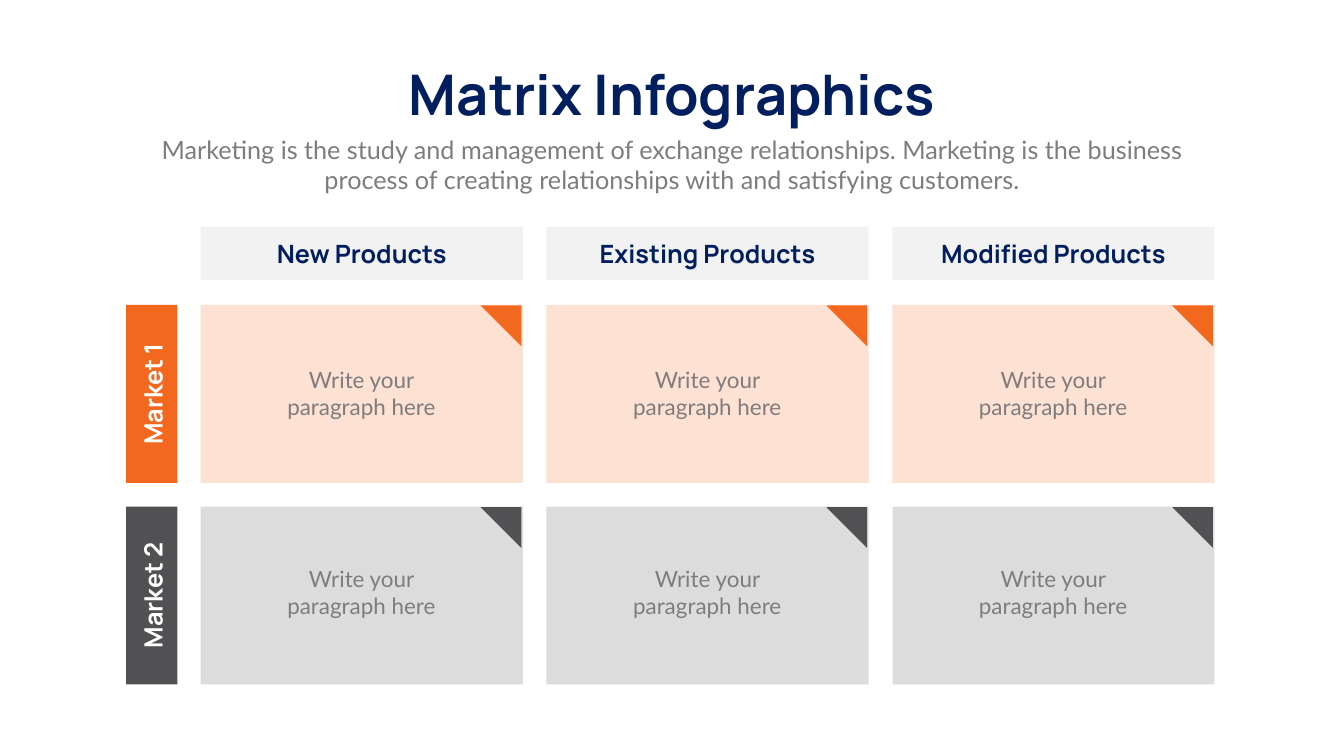
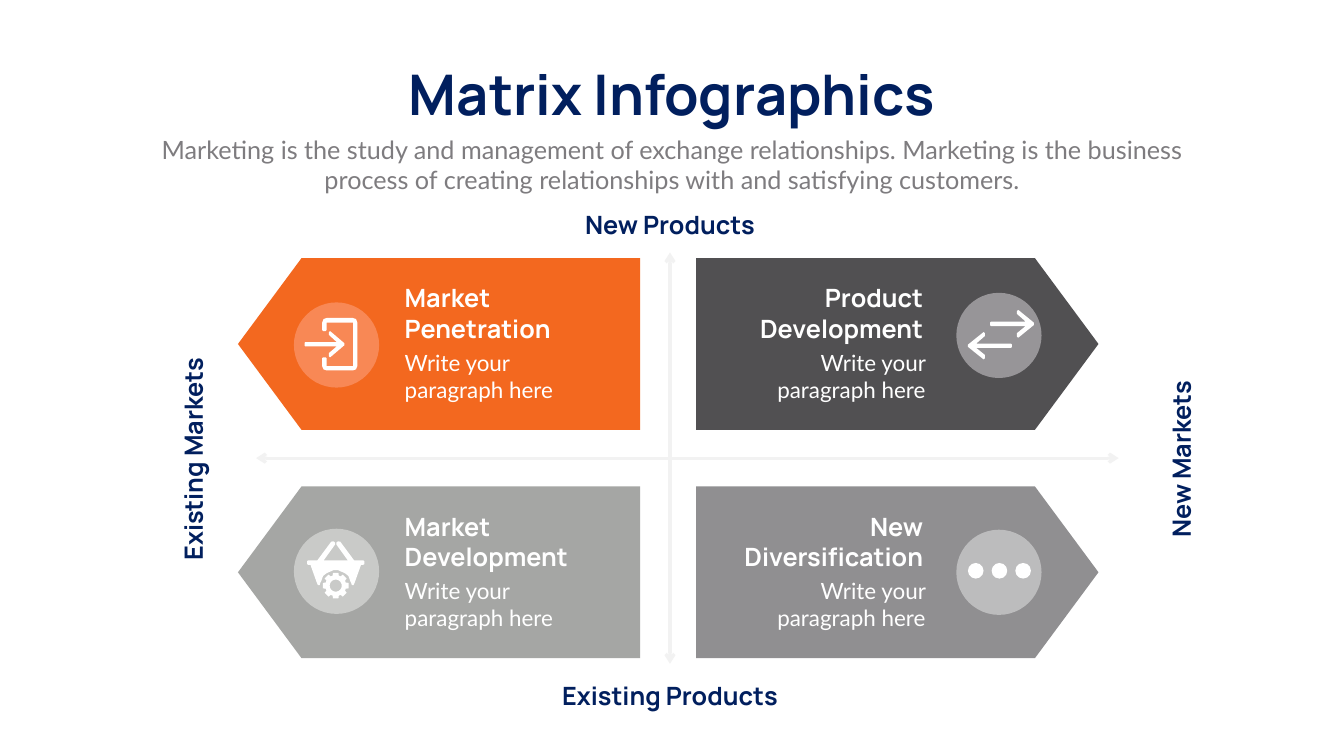
from collections import namedtuple
from math import cos, sin, radians
from lxml import etree
from pptx import Presentation
from pptx import util as u
from pptx.dml.color import RGBColor
from pptx.enum import shapes, text
from pptx.oxml import ns

Box = namedtuple("Box", "x y w h")
COLS, ROWS = 26.66, 15
NAVY, GREY, PALE, WHITE = "011F5E", "7E7C7F", "F2F2F2", "FFFFFF"
ORANGE, DARK = "F3681F", "515052"
HEAD, BODY = "Manrope", "Lato"
LEFT, MID, RIGHT = text.PP_ALIGN.LEFT, text.PP_ALIGN.CENTER, text.PP_ALIGN.RIGHT
KIND = shapes.MSO_SHAPE
NOTE = "Write your paragraph here"

ARROW = [(0.02, 0.42), (0.81, 0.42), (0.61, 0.14), (0.61, 0.04), (0.64, 0), (0.66, 0.02),
         (1, 0.46), (1, 0.54), (0.66, 0.98), (0.64, 1), (0.61, 0.96), (0.61, 0.84),
         (0.81, 0.58), (0.02, 0.58), (0, 0.55), (0, 0.45)]
DOOR = [(0, 0.09), (0.04, 0.02), (0.13, 0), (0.87, 0), (0.96, 0.02), (1, 0.09), (1, 0.91),
        (0.96, 0.98), (0.87, 1), (0.13, 1), (0.04, 0.98), (0, 0.92), (0, 0.77), (0.03, 0.75),
        (0.1, 0.75), (0.13, 0.77), (0.13, 0.92), (0.88, 0.92), (0.88, 0.09), (0.13, 0.09),
        (0.13, 0.23), (0.1, 0.25), (0.03, 0.25), (0, 0.23)]
HALF = [(0.5, 0.43), (0.71, 0.43), (0.51, 0.07), (0.51, 0.03), (0.54, 0), (0.58, 0.01),
        (0.82, 0.43), (0.98, 0.43), (1, 0.45), (1, 0.51), (0.98, 0.53), (0.94, 0.53),
        (0.83, 0.93), (0.81, 0.99), (0.78, 0.99), (0.77, 0.94), (0.75, 0.89), (0.74, 0.85),
        (0.72, 0.78), (0.66, 0.72), (0.61, 0.69), (0.59, 0.68), (0.54, 0.65)]
BASKET = HALF + [(1 - x, y) for x, y in reversed(HALF)]


def ring(size, turns):
    return [(0.5 + size * cos(radians(a)), 0.5 + size * sin(radians(a))) for a in turns]


TEETH = [p for k in range(0, 360, 45)
         for size, turn in ((0.4, -17), (0.5, -12), (0.5, 12), (0.4, 17))
         for p in ring(size, [k + turn])]
HOLE = ring(0.23, range(360, 0, -15))


def hue(code):
    return RGBColor.from_string(code)


def sub(box, x, y, w, h):
    return Box(box.x + x, box.y + y, w, h)


def emu(box):
    return [u.Inches(v) for v in box]


def paint(shape, fill):
    shape.shadow.inherit = False
    shape.fill.solid()
    shape.fill.fore_color.rgb = hue(fill)
    shape.line.fill.background()
    return shape


def block(slide, kind, box, fill, turn=0):
    shape = paint(slide.shapes.add_shape(kind, *emu(box)), fill)
    shape.rotation = turn
    return shape


def draw(slide, box, *rings):
    def spot(p):
        return u.Inches(box.x + p[0] * box.w), u.Inches(box.y + p[1] * box.h)

    pen = slide.shapes.build_freeform(*spot(rings[0][0]))
    for k, pts in enumerate(rings):
        if k:
            pen.move_to(*spot(pts[0]))
        pen.add_line_segments([spot(p) for p in pts[1:]], close=True)
    paint(pen.convert_to_shape(), WHITE)


def style(frame, words, size, face, ink, align, wrap=True):
    frame.text = words
    frame.word_wrap = wrap
    frame.auto_size = text.MSO_AUTO_SIZE.NONE
    frame.vertical_anchor = text.MSO_ANCHOR.TOP
    for par in frame.paragraphs:
        par.alignment = align
        par.space_before = u.Pt(0)
        par.font.size = u.Pt(size)
        par.font.name = face
        par.font.bold = face == HEAD
        par.font.color.rgb = hue(ink)


def write(slide, box, words, size, face, ink, align, wrap=True):
    area = slide.shapes.add_textbox(*emu(box))
    style(area.text_frame, words, size, face, ink, align, wrap)
    return area


def label(slide, words, x, y, wide, ink=NAVY, turn=0):
    box = Box(x - wide / 2, y - 0.355, wide, 0.71)
    write(slide, box, words, 36, HEAD, ink, MID, False).rotation = turn


def move(holder, box):
    holder.left, holder.top, holder.width, holder.height = emu(box)


def start(deck):
    slide = deck.slides.add_slide(deck.slide_layouts[1])
    title, lead = slide.placeholders
    move(title, Box(7.57, 1.14, 11.53, 1.45))
    style(title.text_frame, "Matrix Infographics", 80, HEAD, NAVY, MID, False)
    move(lead, Box(2.92, 2.61, 20.82, 1.31))
    lead.text_frame.text = ""
    style(lead.text_frame, "Marketing is the study and management of exchange relationships. "
          "Marketing is the business process of creating relationships with and satisfying "
          "customers.", 36, BODY, GREY, MID)
    props = lead.text_frame.paragraphs[0]._p.get_or_add_pPr()
    props.set("marL", "0")
    props.set("indent", "0")
    mark = etree.Element(ns.qn("a:buNone"))
    props.find(ns.qn("a:spcBef")).addnext(mark)
    return slide


def cell(slide, box, dark, light, drop):
    rect = block(slide, KIND.RECTANGLE, box, light)
    write(slide, sub(box, 1.12, drop, 4.14, 1.18), NOTE, 32, BODY, GREY, MID)
    block(slide, KIND.RIGHT_TRIANGLE, sub(box, box.w - 0.84, 0.01, 0.81, 0.81), dark, 180)
    return rect


def table(deck):
    slide = start(deck)
    grid = Box(3.98, 4.5, 20.11, 9.08)
    step, wide, tall = 6.86, 6.39, 3.53
    heads = (("New Products", 3.72), ("Existing Products", 4.57), ("Modified Products", 4.83))
    for col, (words, span) in enumerate(heads):
        box = sub(grid, col * step, 0, wide, 1.06)
        block(slide, KIND.RECTANGLE, box, PALE)
        label(slide, words, box.x + wide / 2, box.y + 0.53, span)
    rows = (("Market 1", ORANGE, "FDE1D2", 1.17), ("Market 2", DARK, "DCDCDD", 1.12))
    for row, (words, dark, light, drop) in enumerate(rows):
        top = 1.55 + 4 * row
        tab = sub(grid, -1.48, top, 1.02, tall)
        block(slide, KIND.RECTANGLE, tab, dark)
        label(slide, words, tab.x + 0.53, tab.y + tall / 2, 2.4, WHITE, 270)
        for col in range(3):
            last = cell(slide, sub(grid, col * step, top, wide, tall), dark, light, drop)
    last.line.color.rgb = hue(PALE)
    last.line.width = u.Pt(1)


def enter(slide, disc):
    draw(slide, sub(disc, 0.56, 0.31, 0.7, 1.04), DOOR)
    draw(slide, sub(disc, 0.21, 0.57, 0.79, 0.52), ARROW)


def swap(slide, disc):
    draw(slide, sub(disc, 1.1, 0.78, -0.87, 0.54), ARROW)
    draw(slide, sub(disc, 0.67, 0.34, 0.87, 0.55), ARROW)


def shop(slide, disc):
    draw(slide, sub(disc, 0.26, 0.25, 1.14, 0.88), BASKET)
    draw(slide, sub(disc, 0.57, 0.87, 0.52, 0.52), TEETH, HOLE)


def dots(slide, disc):
    for k in range(3):
        block(slide, KIND.OVAL, sub(disc, 0.23 + 0.47 * k, 0.66, 0.31, 0.31), WHITE)


def quad(slide, box, words, fill, tint, icon, drop, left):
    plate = block(slide, KIND.PENTAGON, box, fill, 180 if left else 0)
    plate.adjustments[0] = 0.37
    disc = sub(box, 1.11 if left else 5.16, drop, 1.69, 1.69)
    block(slide, KIND.OVAL, disc, tint)
    icon(slide, disc)
    edge, align = (3.21, LEFT) if left else (0.5, RIGHT)
    write(slide, sub(box, edge, 0.44, 4.1, 1.31), words, 36, HEAD, WHITE, align)
    write(slide, sub(box, edge, 1.76, 4.15, 1.18), NOTE, 32, BODY, WHITE, align)


def axis(slide, *ends):
    line = slide.shapes.add_connector(shapes.MSO_CONNECTOR.STRAIGHT, *emu(ends))
    line.line.color.rgb = hue(PALE)
    line.line.width = u.Pt(4.5)
    for tag in ("a:headEnd", "a:tailEnd"):
        etree.SubElement(line.line._get_or_add_ln(), ns.qn(tag), type="arrow")
    etree.SubElement(line._element.spPr, ns.qn("a:effectLst"))


def cross(deck):
    slide = start(deck)
    x, y = 13.29, 9.09
    axis(slide, x, y - 4.08, x, y + 4.08)
    axis(slide, x + 8.9, y, x - 8.21, y)
    label(slide, "New Products", x, 4.46, 3.72)
    label(slide, "Existing Products", x, 13.8, 4.57)
    label(slide, "Existing Markets", 3.83, 9.11, 4.37, turn=270)
    label(slide, "New Markets", 23.43, 9.11, 3.51, turn=270)
    quads = (("Market\nPenetration", ORANGE, "F88855", enter, 0.88),
             ("Product\nDevelopment", DARK, "979598", swap, 0.69),
             ("Market\nDevelopment", "A5A6A4", "C9CAC8", shop, 0.84),
             ("New\nDiversification", "908F91", "BCBCBD", dots, 0.86))
    for k, parts in enumerate(quads):
        row, col = divmod(k, 2)
        box = Box(4.72 + 9.09 * col, 5.12 + 4.53 * row, 7.98, 3.41)
        quad(slide, box, *parts, left=col == 0)


def main():
    deck = Presentation()
    deck.slide_width, deck.slide_height = u.Inches(COLS), u.Inches(ROWS)
    table(deck)
    cross(deck)
    deck.save("out.pptx")


if __name__ == "__main__":
    main()
